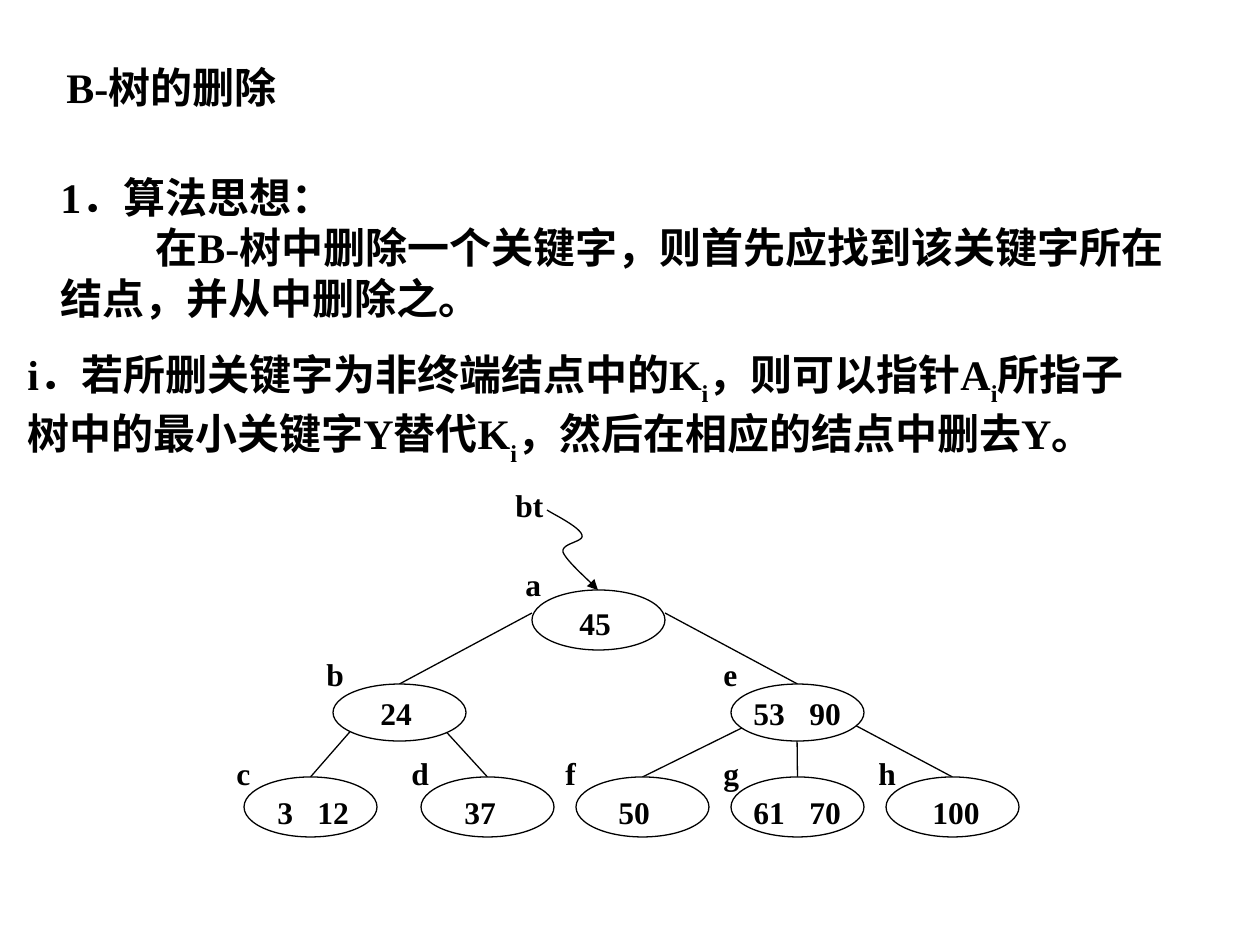
import pptx
import pptx.util
import pptx.dml.color
import pptx.enum.shapes
import pptx.enum.text
import pptx.oxml.ns
import lxml.etree

# Content: lengths in px, 126 to the inch
FONT = "Times New Roman"
HUE = {"ink": "000000", "paper": "FFFFFF"}

# Paragraphs are (first-line indent, runs); every second run is a subscript
TEXTS = [
    ((44, 55, 270, 63), [(10, ["B-树的删除"])]),
    ((48, 165, 1148, 164), [
        (0, ["1．算法思想："]),
        (95, ["在B-树中删除一个关键字，则首先应找到该关键字所在结点，并从中删除之。"]),
    ]),
    ((15, 316, 1150, 183), [
        (0, ["i．若所删关键字为非终端结点中的K", "i", "，则可以指针A", "i",
             "所指子树中的最小关键字Y替代K", "i", "，然后在相应的结点中删去Y。"]),
    ]),
]

# Levels: node top, node height, label top, key top
LEVELS = [(590, 60, 559, 598), (684, 57, 649, 688), (777, 60, 748, 787)]
WIDE = 133

# Nodes: name, level, left, label left, keys left, keys
NODES = [
    ("a", 0, 532, 513, 567, ["45"]),
    ("b", 1, 333, 314, 368, ["24"]),
    ("e", 1, 731, 711, 741, ["53", "90"]),
    ("c", 2, 244, 224, 265, ["3", "12"]),
    ("d", 2, 421, 399, 452, ["37"]),
    ("f", 2, 576, 553, 606, ["50"]),
    ("g", 2, 731, 711, 741, ["61", "70"]),
    ("h", 2, 886, 866, 920, ["100"]),
]

# Edges: start point, child joined at its top
EDGES = [
    ((532, 613), "b"), ((665, 613), "e"), ((355, 726), "c"), ((440, 725), "d"),
    ((752, 723), "f"), ((797, 731), "g"), ((849, 722), "h"),
]

# Root pointer: start, then cubic curves
ROOT = ("bt", 503, 480)
START = (547, 510)
CURVES = [
    [(553, 514), (580, 527), (582, 535)],
    [(585, 542), (561, 543), (563, 552)],
    [(567, 562), (591, 582), (598, 590)],
]


def px(n):
    return round(n * 914400 / 126)


def rgb(name):
    return pptx.dml.color.RGBColor.from_string(HUE[name])


def stroke(shape):
    shape.line.color.rgb = rgb("ink")
    shape.line.width = pptx.util.Pt(0.75)


def style(para, size):
    para.font.size = pptx.util.Pt(size)
    para.font.name = FONT
    para.font.bold = True
    para.font.color.rgb = rgb("ink")


def frame(x, y, w, h):
    box = slide.shapes.add_textbox(px(x), px(y), px(w), px(h))
    box.text_frame.word_wrap = True
    box.text_frame.vertical_anchor = pptx.enum.text.MSO_ANCHOR.MIDDLE
    return box.text_frame


def tag(x, y, parts):
    """Short text; a second part stands at a tab stop."""
    gap = 24 * (len(parts) - 1)
    body = frame(x, y, 33 + 16 * len("".join(parts)) + gap, 50)
    para = body.paragraphs[0]
    para.text = "\t".join(parts)
    if gap:
        tabs = lxml.etree.SubElement(para._p.get_or_add_pPr(), pptx.oxml.ns.qn("a:tabLst"))
        stop = lxml.etree.SubElement(tabs, pptx.oxml.ns.qn("a:tab"))
        stop.set("pos", str(px(16 * len(parts[0]) + gap)))
        stop.set("algn", "l")
    style(para, 18)


def bezier(p, curve, steps=12):
    """Points along a cubic curve, after its start."""
    for k in range(1, steps + 1):
        t = k / steps
        mix = ((1 - t) ** 3, 3 * t * (1 - t) ** 2, 3 * t * t * (1 - t), t ** 3)
        yield tuple(px(sum(m * q[i] for m, q in zip(mix, [p] + curve))) for i in (0, 1))


deck = pptx.Presentation()
deck.slide_width, deck.slide_height = px(1260), px(945)
slide = deck.slides.add_slide(deck.slide_layouts[6])

# Heading and paragraphs
for area, paras in TEXTS:
    body = frame(*area)
    for n, (indent, runs) in enumerate(paras):
        para = body.add_paragraph() if n else body.paragraphs[0]
        para._p.get_or_add_pPr().set("indent", str(px(indent)))
        for k, words in enumerate(runs):
            run = para.add_run()
            run.text = words
            if k % 2:
                run.font._element.set("baseline", "-30000")
        style(para, 24)

# Tree nodes
ovals = {}
for name, level, x, *_ in NODES:
    top, high = LEVELS[level][:2]
    oval = slide.shapes.add_shape(pptx.enum.shapes.MSO_SHAPE.OVAL,
                                  px(x), px(top), px(WIDE), px(high))
    oval.shadow.inherit = False
    oval.fill.solid()
    oval.fill.fore_color.rgb = rgb("paper")
    stroke(oval)
    ovals[name] = oval

# Edges, placed behind the nodes
for (x, y), child in EDGES:
    edge = slide.shapes.add_connector(pptx.enum.shapes.MSO_CONNECTOR.STRAIGHT,
                                      px(x), px(y), px(x), px(y))
    edge.end_connect(ovals[child], 0)
    stroke(edge)
    lxml.etree.SubElement(edge._element.spPr, pptx.oxml.ns.qn("a:effectLst"))
    edge._element.getparent().insert(2, edge._element)

# Curved pointer to the root
pen = slide.shapes.build_freeform(px(START[0]), px(START[1]))
last = START
for curve in CURVES:
    pen.add_line_segments(list(bezier(last, curve)), close=False)
    last = curve[-1]
wave = pen.convert_to_shape()
wave.shadow.inherit = False
wave.fill.background()
stroke(wave)
tip = lxml.etree.SubElement(wave.line._get_or_add_ln(), pptx.oxml.ns.qn("a:tailEnd"))
tip.set("type", "triangle")

# Labels and keys
tag(ROOT[1], ROOT[2], [ROOT[0]])
for name, level, _, left, inner, keys in NODES:
    tag(left, LEVELS[level][2], [name])
    tag(inner, LEVELS[level][3], keys)

deck.save("out.pptx")
